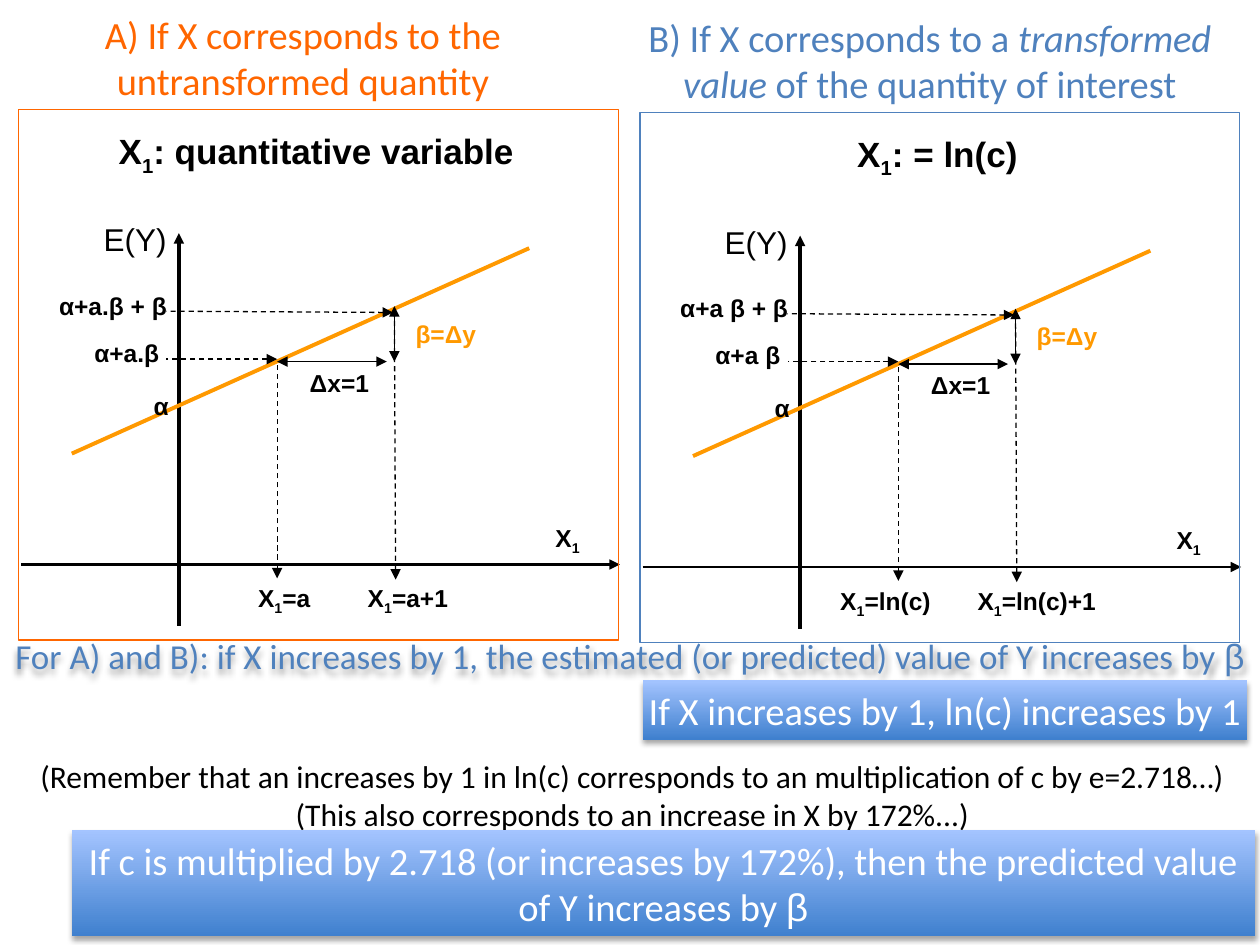
import pptx
import pptx.dml.color
import pptx.enum.dml
import pptx.enum.shapes
import pptx.enum.text
import pptx.oxml.ns
import pptx.util
from lxml import etree
from pptx.util import Inches

COLORS = {
    "black": "000000", "white": "FFFFFF", "orange": "FF6600", "amber": "FF9900",
    "blue": "4F81BD", "deep": "3F80CE", "pale": "A4C4FF",
}
ALIGN = pptx.enum.text.PP_ALIGN
qn = pptx.oxml.ns.qn


def rgb(name):
    return pptx.dml.color.RGBColor.from_string(COLORS[name])


def write(box, *paras, size=14, font="Arial", color="black", bold=False,
          align=ALIGN.LEFT, side=0.1):
    """Fill a box; each para is a list of strings or (string, format) pairs."""
    frame = box.text_frame
    frame.word_wrap = True
    frame.vertical_anchor = pptx.enum.text.MSO_ANCHOR.TOP
    frame.margin_left = frame.margin_right = Inches(side)
    for index, pieces in enumerate(paras):
        para = frame.add_paragraph() if index else frame.paragraphs[0]
        para.alignment = align
        for piece in pieces:
            text, extra = (piece, {}) if isinstance(piece, str) else piece
            span = para.add_run()
            span.text = text
            span.font.size = pptx.util.Pt(size)
            span.font.name = extra.get("font", font)
            span.font.bold = bold
            span.font.italic = extra.get("italic", False)
            span.font.color.rgb = rgb(color)
            if extra.get("sub"):
                span._r.get_or_add_rPr().set("baseline", "-25000")


def add_text(page, at, *paras, **style):
    box = page.shapes.add_textbox(*map(Inches, at))
    write(box, *paras, **style)
    return box


def add_box(page, at):
    box = page.shapes.add_shape(pptx.enum.shapes.MSO_SHAPE.RECTANGLE, *map(Inches, at))
    box.shadow.inherit = False
    box.line.fill.background()
    return box


def add_shadow(box):
    box.shadow.inherit = False
    effects = box._element.spPr.find(qn("a:effectLst"))
    shadow = etree.SubElement(effects, qn("a:outerShdw"), blurRad="39370", dist="22860",
                              dir="5400000", rotWithShape="0")
    tint = etree.SubElement(shadow, qn("a:srgbClr"), val=COLORS["black"])
    etree.SubElement(tint, qn("a:alpha"), val="35000")


def add_line(page, start, end, width=0.75, color="black", dash=False, arrows=()):
    """Draw a line; arrows names its arrowheads, "headEnd" at start, "tailEnd" at end."""
    line = page.shapes.add_connector(pptx.enum.shapes.MSO_CONNECTOR.STRAIGHT,
                                     *map(Inches, (*start, *end)))
    line.line.width = pptx.util.Pt(width)
    line.line.color.rgb = rgb(color)
    if dash:
        line.line.dash_style = pptx.enum.dml.MSO_LINE.DASH
    for arrow in arrows:
        etree.SubElement(line.line._get_or_add_ln(), qn("a:" + arrow), type="triangle")
    etree.SubElement(line._element.spPr, qn("a:effectLst"))


def x1(rest=""):
    pieces = ["X", ("1", {"sub": True})]
    return pieces + [rest] if rest else pieces


def add_panel(page, at, color, title, levels, ticks):
    """Draw a regression graph; levels are y labels, ticks are (left, width, label)."""
    left, top, width, height = at

    def label(x, y, w, h, pieces, bold=True, **style):
        add_text(page, (left + x, top + y, w, h), pieces, bold=bold, **style)

    def line(x1_pos, y1_pos, x2_pos, y2_pos, **style):
        add_line(page, (left + x1_pos, top + y1_pos), (left + x2_pos, top + y2_pos), **style)

    head, both = ["headEnd"], ["headEnd", "tailEnd"]
    line(1.27, 0.98, 1.27, 4.1, width=2, arrows=head)
    line(0.02, 3.61, 4.77, 3.61, width=1.5, arrows=["tailEnd"])
    line(0.42, 2.73, 4.05, 1.1, width=2.25, color="amber")
    for guide in ((2.05, 3.72, 2.05, 2.01), (2.99, 3.73, 2.98, 1.6),
                  (2.97, 1.61, 1.17, 1.6), (2.05, 1.98, 1.17, 1.98)):
        line(*guide, dash=True, arrows=head)
    line(2.05, 2, 2.92, 2, arrows=both)
    line(2.98, 1.56, 2.98, 2, arrows=both)

    label(0.55, 0.11, 3.62, 0.44, x1(title), size=20, align=ALIGN.CENTER)
    label(-0.15, 0.83, 1.42, 0.4, ["E(Y)"], size=18, bold=False, align=ALIGN.RIGHT)
    label(0.22, 1.39, 1.12, 0.38, [levels[0]])
    label(0.5, 1.76, 1, 0.38, [levels[1]])
    label(0.97, 2.18, 0.38, 0.38, ["α"])
    label(3.05, 1.61, 1, 0.38, ["β=Δy"], color="amber")
    label(2.21, 2, 0.69, 0.44, ["Δx=1"])
    label(4.16, 3.23, 0.57, 0.38, x1())
    for tick_left, tick_width, tick in ticks:
        label(tick_left, 3.71, tick_width, 0.38, x1(tick))

    frame = add_box(page, at)
    frame.fill.background()
    frame.line.color.rgb = rgb(color)
    frame.line.width = pptx.util.Pt(0.75)


def add_heading(page, at, color, pieces):
    add_text(page, at, pieces, size=22, font="Calibri", color=color, align=ALIGN.CENTER)


def add_banner(page, at, pieces, side=0.1):
    box = add_box(page, at)
    box.fill.gradient()
    box.fill.gradient_angle = 90
    for stop, color in zip(box.fill.gradient_stops, ("deep", "pale")):
        stop.color.rgb = rgb(color)
    add_shadow(box)
    write(box, pieces, size=22, font="Calibri", color="white",
          align=ALIGN.CENTER, side=side)


def add_conclusions(page, top):
    beta = ("β", {"font": "Arial"})
    summary = add_text(
        page, (0, top, 10, 0.44),
        ["For A) and B): if X increases by 1, the estimated (or predicted) value of Y "
         "increases by ", beta],
        size=20, font="Calibri", color="blue", align=ALIGN.CENTER)
    add_shadow(summary)
    add_banner(page, (5.1, top + 0.41, 4.8, 0.47),
               ["If X increases by 1, ln(c) increases by 1"], side=0)
    reminder = add_box(page, (0.15, top + 0.97, 9.74, 0.71))
    reminder.fill.solid()
    reminder.fill.fore_color.rgb = rgb("white")
    write(reminder,
          ["(Remember that an increases by 1 in ln(c) corresponds to an multiplication "
           "of c by e=2.718…)"],
          ["(This also corresponds to an increase in X by 172%...)"],
          size=18, font="Calibri", align=ALIGN.CENTER, side=0)
    add_banner(page, (0.57, top + 1.6, 9.39, 0.84),
               ["If c is multiplied by 2.718 (or increases by 172%), then the predicted "
                "value of Y increases by ", beta])


def main():
    deck = pptx.Presentation()
    deck.slide_width, deck.slide_height = Inches(10), Inches(7.5)
    page = deck.slides.add_slide(deck.slide_layouts[6])
    add_heading(page, (0.09, 0.04, 4.63, 0.58), "orange",
                ["A) If X corresponds to the untransformed quantity"])
    add_panel(page, (0.15, 0.87, 4.76, 4.21), "orange", ": quantitative variable",
              ("α+a.β + β", "α+a.β"), ((1.8, 0.62, "=a"), (2.67, 0.88, "=a+1")))
    add_panel(page, (5.08, 0.89, 4.76, 4.21), "blue", ": = ln(c)",
              ("α+a β + β", "α+a β"), ((1.49, 1.09, "=ln(c)"), (2.58, 1.31, "=ln(c)+1")))
    add_heading(page, (4.92, 0.06, 4.92, 0.58), "blue",
                ["B) If X corresponds to a ", ("transformed value", {"italic": True}),
                 " of the quantity of interest"])
    add_conclusions(page, 4.99)
    deck.save("out.pptx")


if __name__ == "__main__":
    main()
